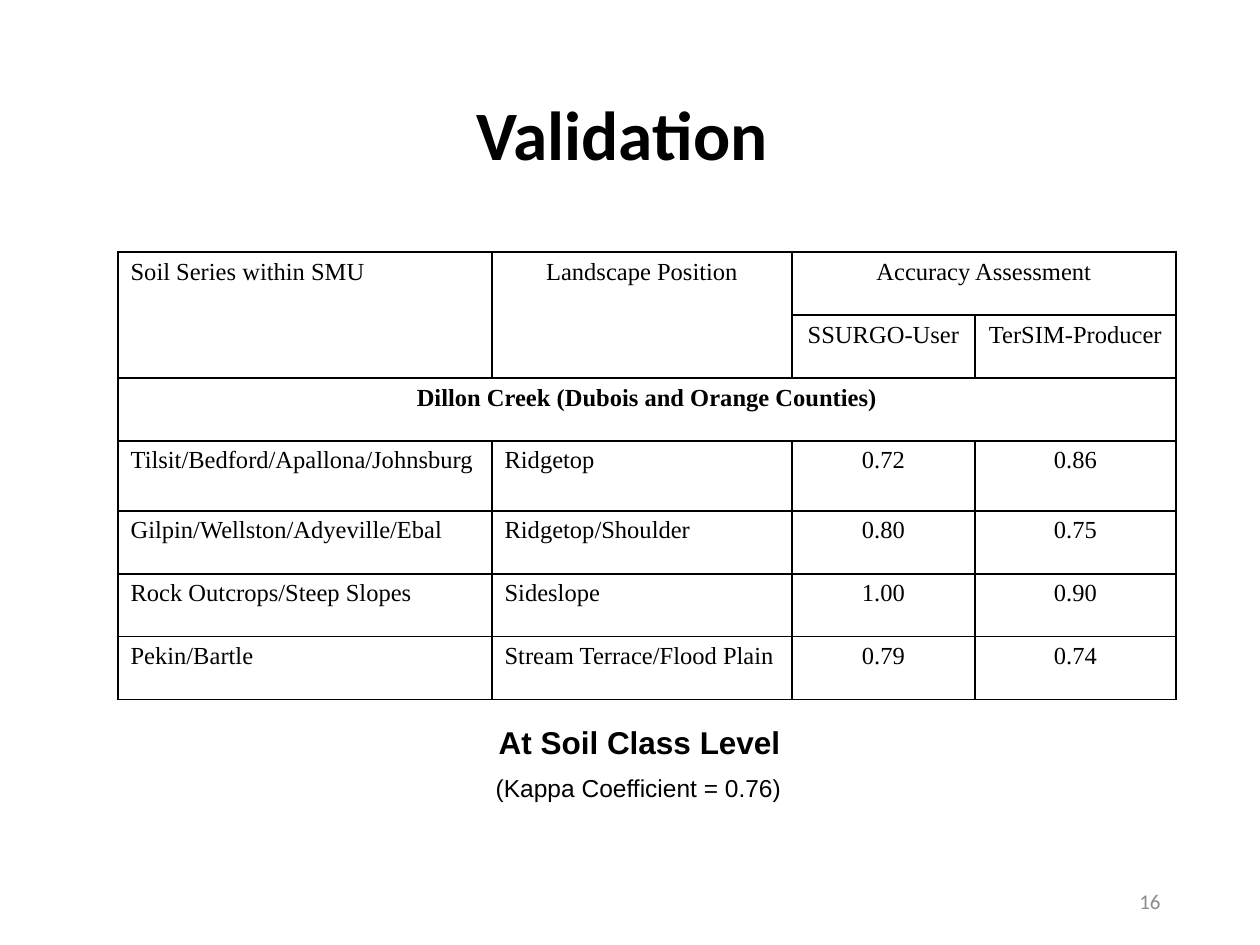
from lxml.etree import SubElement
from pptx import Presentation
from pptx.dml.color import RGBColor
from pptx.enum.text import MSO_ANCHOR, PP_ALIGN
from pptx.oxml.ns import qn
from pptx.util import Emu, Pt

PX = 914400 // 126
BLACK, GREY = "000000", "8C8C8C"

COLUMNS = [374, 300, 183, 201]
ROWS = [63, 63, 63, 70, 63, 63, 63]
CELLS = [
    ["Soil Series within SMU", "Landscape Position", "Accuracy Assessment", ""],
    ["", "", "SSURGO-User", "TerSIM-Producer"],
    ["Dillon Creek (Dubois and Orange Counties)", "", "", ""],
    ["Tilsit/Bedford/Apallona/Johnsburg", "Ridgetop", "0.72", "0.86"],
    ["Gilpin/Wellston/Adyeville/Ebal", "Ridgetop/Shoulder", "0.80", "0.75"],
    ["Rock Outcrops/Steep Slopes", "Sideslope", "1.00", "0.90"],
    ["Pekin/Bartle", "Stream Terrace/Flood Plain", "0.79", "0.74"],
]
MERGES = [((0, 0), (1, 0)), ((0, 1), (1, 1)), ((0, 2), (0, 3)), ((2, 0), (2, 3))]
BAND_ROW = 2


def px(n):
    return Emu(n * PX)


def rgb(color):
    return RGBColor.from_string(color)


def write(tf, text, size, font, color=BLACK, bold=False, align=PP_ALIGN.CENTER):
    tf.text = text
    p = tf.paragraphs[0]
    p.alignment = align
    for r in p.runs:
        r.font.size, r.font.name, r.font.bold = Pt(size), font, bold
        r.font.color.rgb = rgb(color)
    return p


def place(sp, x, y, w, h):
    sp.left, sp.top, sp.width, sp.height = px(x), px(y), px(w), px(h)


def add_title(s, box):
    sp = s.shapes.title
    place(sp, *box)
    sp.text_frame.vertical_anchor = MSO_ANCHOR.MIDDLE
    write(sp.text_frame, "Validation ", 39.6, "Calibri", bold=True).line_spacing = 0.9


def set_borders(cell):
    tc_pr = cell._tc.get_or_add_tcPr()
    for i, side in enumerate(("a:lnL", "a:lnR", "a:lnT", "a:lnB")):
        line = SubElement(tc_pr, qn(side), w=str(Pt(1)))
        fill = SubElement(line, qn("a:solidFill"))
        SubElement(fill, qn("a:srgbClr"), val=BLACK)
        tc_pr.insert(i, line)


def add_accuracy_table(s, x, y):
    frame = s.shapes.add_table(len(ROWS), len(COLUMNS), px(x), px(y),
                               px(sum(COLUMNS)), px(sum(ROWS)))
    table = frame.table
    table.first_row = table.horz_banding = False
    for column, width in zip(table.columns, COLUMNS):
        column.width = px(width)
    for row, height in zip(table.rows, ROWS):
        row.height = px(height)
    for start, end in MERGES:
        table.cell(*start).merge(table.cell(*end))
    for i, texts in enumerate(CELLS):
        for j, text in enumerate(texts):
            cell = table.cell(i, j)
            cell.fill.background()
            set_borders(cell)
            left = j == 0 and i != BAND_ROW or j == 1 and i > BAND_ROW
            if text:
                write(cell.text_frame, text, 14, "Times New Roman", bold=i == BAND_ROW,
                      align=PP_ALIGN.LEFT if left else PP_ALIGN.CENTER)


def add_label(s, box, text, size, font, **style):
    tf = s.shapes.add_textbox(*map(px, box)).text_frame
    tf.word_wrap = False
    write(tf, text, size, font, **style)
    return tf


def add_caption(s, x, y):
    add_label(s, (x + 10, y, 316, 50), "At Soil Class Level ", 18, "Arial", bold=True)
    add_label(s, (x, y + 50, 325, 42), "(Kappa Coefficient = 0.76)", 14, "Arial")


def add_page_number(s, box):
    tf = add_label(s, box, "16", 12, "Calibri", color=GREY, align=PP_ALIGN.RIGHT)
    tf.word_wrap = True
    tf.vertical_anchor = MSO_ANCHOR.MIDDLE


def main():
    prs = Presentation()
    prs.slide_width, prs.slide_height = px(1260), px(945)
    s = prs.slides.add_slide(prs.slide_layouts[5])
    add_page_number(s, (890, 876, 283, 50))
    add_title(s, (320, 94, 620, 88))
    add_accuracy_table(s, 118, 252)
    add_caption(s, 476, 717)
    prs.save("out.pptx")


if __name__ == "__main__":
    main()
